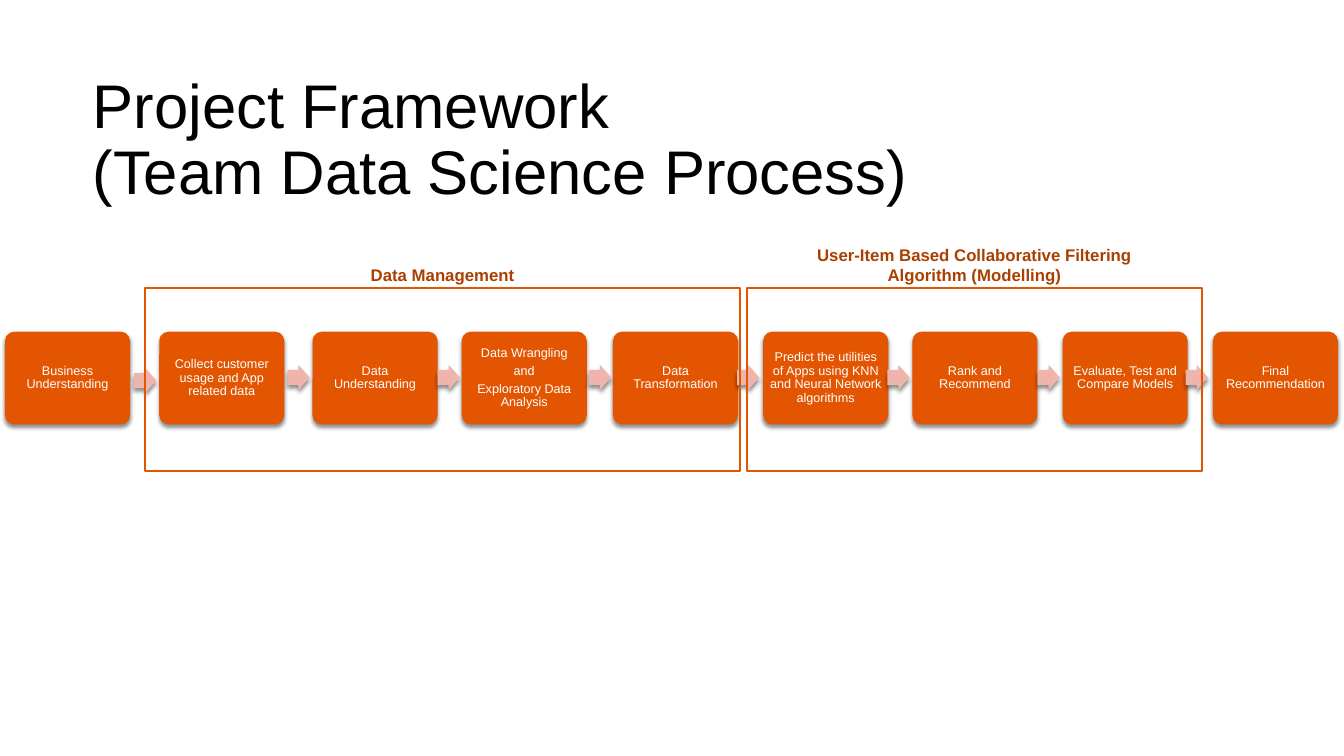
"""Build the project framework slide: a process of nine steps with two labelled phases."""
from lxml.etree import SubElement
from pptx import Presentation
from pptx.dml.color import RGBColor
from pptx.enum.shapes import MSO_SHAPE as Preset
from pptx.enum.text import MSO_ANCHOR as Anchor, PP_ALIGN as Align
from pptx.oxml.ns import qn
from pptx.util import Inches, Pt

TITLE = "Project Framework\v(Team Data Science Process)"
TITLE_BOX = (0.82, 0.68, 11.5, 1.45)

STEPS = [
    (0.05, "Business Understanding"),
    (1.58, "Collect customer usage and App related data"),
    (3.10, "Data Understanding"),
    (4.58, "Data Wrangling\nand\nExploratory Data Analysis"),
    (6.08, "Data Transformation"),
    (7.57, "Predict the utilities of Apps using KNN and Neural Network algorithms"),
    (9.05, "Rank and Recommend"),
    (10.54, "Evaluate, Test and Compare Models"),
    (12.03, "Final Recommendation"),
]
STEP_TOP, STEP_WIDTH, STEP_HEIGHT = 3.29, 1.24, 0.92

ARROWS = [(1.33, 3.65)] + [
    (left, 3.62) for left in (2.85, 4.34, 5.84, 7.31, 8.80, 10.29, 11.76)
]
ARROW_WIDTH, ARROW_HEIGHT = 0.22, 0.25

PHASES = [
    {"label": "User-Item Based Collaborative Filtering Algorithm (Modelling)",
     "frame": (7.41, 4.51), "lines": 2},
    {"label": "Data Management", "frame": (1.44, 5.90), "lines": 1},
]
FRAME_TOP, FRAME_HEIGHT = 2.86, 1.81
LABEL_WIDTH, LABEL_BOTTOM, LABEL_LINE = 3.74, 2.83, 0.2

THEME = {
    "font": "Arial",
    "title": "000000",
    "step": "E35500",
    "step_text": "FFFFFF",
    "arrow": "EFB4AB",
    "label": "AA4000",
    "shadow": "000000",
    "title_size": 44,
    "step_size": 9,
    "label_size": 12,
    "frame_line": 1.5,
}


def color(name):
    return RGBColor.from_string(THEME[name])


def write(shape, text, role, size, inset=(0, 0), align=Align.CENTER,
          anchor=Anchor.TOP, spacing=None, after=0, bold=False):
    frame = shape.text_frame
    frame.text = text
    frame.word_wrap = True
    frame.vertical_anchor = anchor
    frame.margin_left = frame.margin_right = Inches(inset[0])
    frame.margin_top = frame.margin_bottom = Inches(inset[1])
    for paragraph in frame.paragraphs:
        paragraph.alignment = align
        paragraph.space_after = Pt(after)
        if spacing:
            paragraph.line_spacing = spacing
        font = paragraph.font
        for target in [font] + [run.font for run in paragraph.runs]:
            target.name = THEME["font"]
            target.size = Pt(THEME[size])
            target.bold = bold
            target.color.rgb = color(role)


def add_filled(slide, preset, box, role, adjustments):
    shape = slide.shapes.add_shape(preset, *map(Inches, box))
    for index, value in enumerate(adjustments):
        shape.adjustments[index] = value
    shape.fill.solid()
    shape.fill.fore_color.rgb = color(role)
    shape.line.fill.background()
    shape.shadow.inherit = False
    effects = shape.element.spPr.find(qn("a:effectLst"))
    shadow = SubElement(effects, qn("a:outerShdw"), blurRad=str(Pt(3)),
                        dist=str(Pt(2.4)), dir="5400000", rotWithShape="0")
    tone = SubElement(shadow, qn("a:srgbClr"), val=THEME["shadow"])
    SubElement(tone, qn("a:alpha"), val="45000")
    return shape


def add_step(slide, left, text):
    box = (left, STEP_TOP, STEP_WIDTH, STEP_HEIGHT)
    shape = add_filled(slide, Preset.ROUNDED_RECTANGLE, box, "step", [0.1])
    write(shape, text, "step_text", "step_size", inset=(0.04, 0.04),
          anchor=Anchor.MIDDLE, spacing=0.9, after=3.15)


def add_phase(slide, phase):
    left, width = phase["frame"]
    frame = slide.shapes.add_shape(
        Preset.RECTANGLE, *map(Inches, (left, FRAME_TOP, width, FRAME_HEIGHT)))
    frame.fill.background()
    frame.line.color.rgb = color("step")
    frame.line.width = Pt(THEME["frame_line"])
    frame.shadow.inherit = False

    height = phase["lines"] * LABEL_LINE
    label_left = left + (width - LABEL_WIDTH) / 2
    label = slide.shapes.add_textbox(
        *map(Inches, (label_left, LABEL_BOTTOM - height, LABEL_WIDTH, height)))
    write(label, phase["label"], "label", "label_size", bold=True)


def main():
    presentation = Presentation()
    presentation.slide_width = Inches(13.33)
    presentation.slide_height = Inches(7.5)
    slide = presentation.slides.add_slide(presentation.slide_layouts[6])

    title = slide.shapes.add_textbox(*map(Inches, TITLE_BOX))
    write(title, TITLE, "title", "title_size", inset=(0.1, 0.05),
          align=Align.LEFT, anchor=Anchor.MIDDLE, spacing=0.9)

    for left, text in STEPS:
        add_step(slide, left, text)
    for left, top in ARROWS:
        add_filled(slide, Preset.RIGHT_ARROW,
                   (left, top, ARROW_WIDTH, ARROW_HEIGHT), "arrow", [0.6, 0.5])
    for phase in PHASES:
        add_phase(slide, phase)

    presentation.save("out.pptx")


if __name__ == "__main__":
    main()
